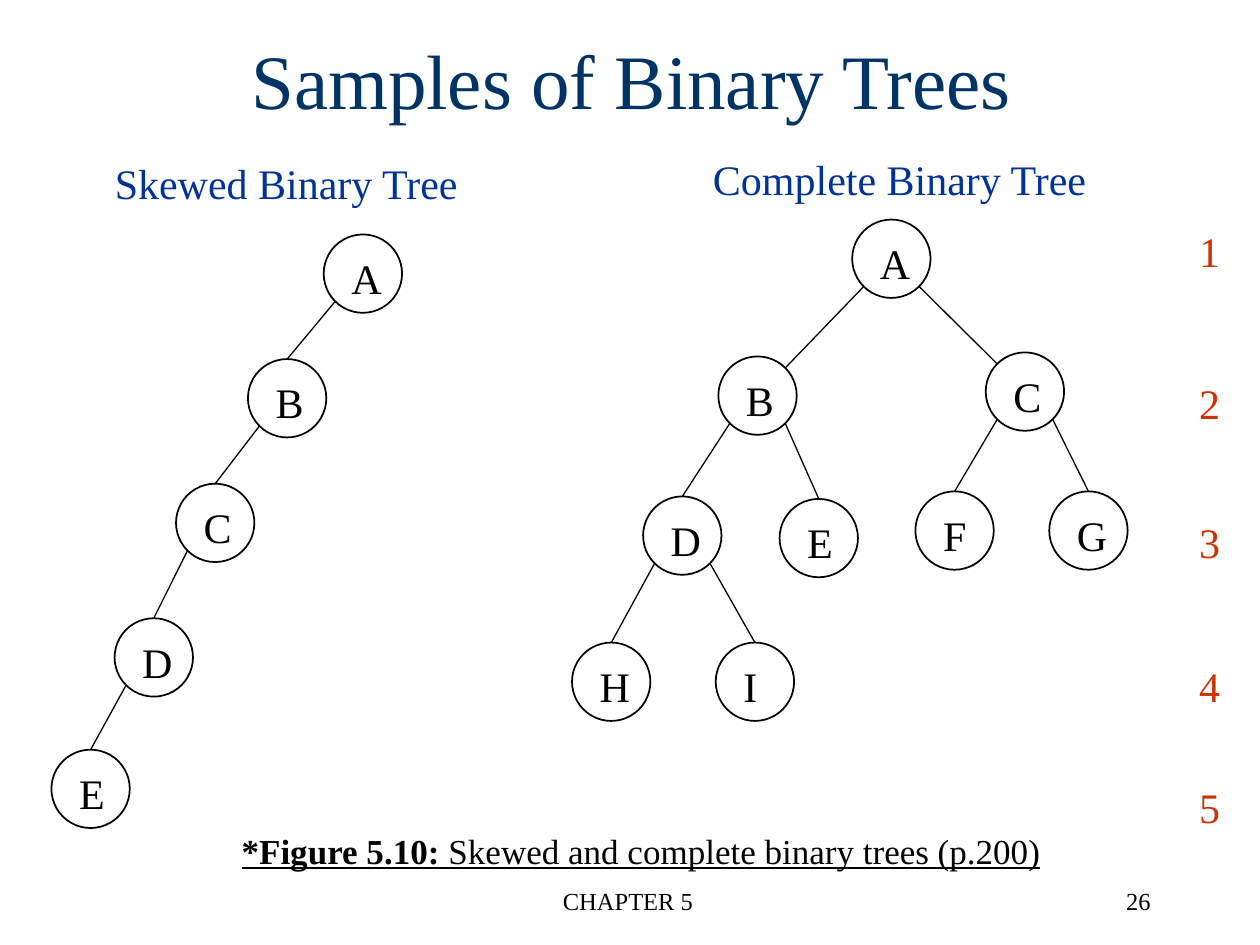
from math import sqrt

from lxml.etree import SubElement
from pptx import Presentation
from pptx.dml.color import RGBColor
from pptx.enum.shapes import MSO_CONNECTOR, MSO_SHAPE
from pptx.enum.text import MSO_ANCHOR, PP_ALIGN
from pptx.oxml.ns import qn
from pptx.util import Pt

FONT = "Times New Roman"
BLACK = RGBColor(0x00, 0x00, 0x00)
NAVY = RGBColor(0x00, 0x33, 0x66)
BLUE = RGBColor(0x00, 0x33, 0x99)
RED = RGBColor(0xCC, 0x33, 0x00)

NODE_SIZE = 44.8
RADIUS = NODE_SIZE / 2
DIAGONAL = RADIUS / sqrt(2)

# Node letter: left and top of its circle
SKEWED_NODES = {
    "A": (185, 134), "B": (141.7, 205.2), "C": (100.6, 276.4),
    "D": (65.5, 353.3), "E": (29.4, 428.4),
}
COMPLETE_NODES = {
    "A": (487, 125.5), "B": (410.5, 203.7), "C": (563.3, 201.4),
    "D": (367.5, 283.7), "E": (445.5, 285.1), "F": (523.1, 280.8),
    "G": (599.6, 280.8), "H": (326.9, 367.2), "I": (409, 367.2),
}
SKEWED_EDGES = ["AB", "BC", "CD", "DE"]
COMPLETE_EDGES = ["AB", "AC", "BD", "BE", "CF", "CG", "DH", "DI"]
# Edges that meet the child on its upper diagonal instead of its top
COMPLETE_WIDE_EDGES = ["AB", "AC"]
LEVEL_TOPS = [125.3, 212.4, 291.6, 373.7, 442.8]


def add_text(shapes, text, left, top, width, height, *, size=24, color=BLACK,
             align=PP_ALIGN.LEFT, anchor=MSO_ANCHOR.TOP, bold_lead="",
             underline=False):
    """Add a text box; bold_lead is a bold run placed before the text."""
    box = shapes.add_textbox(Pt(left), Pt(top), Pt(width), Pt(height))
    frame = box.text_frame
    frame.word_wrap = True
    frame.vertical_anchor = anchor
    paragraph = frame.paragraphs[0]
    paragraph.alignment = align
    for content, bold in ((bold_lead, True), (text, False)):
        if content:
            run = paragraph.add_run()
            run.text = content
            run.font.name = FONT
            run.font.size = Pt(size)
            run.font.bold = bold
            run.font.underline = underline
            run.font.color.rgb = color


def add_node(slide, letter, left, top):
    shapes = slide.shapes.add_group_shape().shapes
    circle = shapes.add_shape(MSO_SHAPE.OVAL, Pt(left), Pt(top),
                              Pt(NODE_SIZE), Pt(NODE_SIZE))
    circle.shadow.inherit = False
    circle.fill.background()
    circle.line.color.rgb = BLACK
    circle.line.width = Pt(1)
    add_text(shapes, letter, left + 8.7, top + 6.7, 33, 36)


def add_edge(slide, parent, child, wide):
    side = 1 if child[0] > parent[0] else -1
    start_x = parent[0] + RADIUS + side * DIAGONAL
    start_y = parent[1] + RADIUS + DIAGONAL
    end_x = child[0] + RADIUS
    end_y = child[1]
    if wide:
        end_x -= side * DIAGONAL
        end_y += RADIUS - DIAGONAL
    connector = slide.shapes.add_connector(
        MSO_CONNECTOR.STRAIGHT, Pt(start_x), Pt(start_y), Pt(end_x), Pt(end_y))
    connector.line.color.rgb = BLACK
    connector.line.width = Pt(0.75)
    SubElement(connector._element.spPr, qn("a:effectLst"))


def add_tree(slide, nodes, edges, wide_edges=()):
    for letter, (left, top) in nodes.items():
        add_node(slide, letter, left, top)
    for edge in edges:
        parent, child = edge
        add_edge(slide, nodes[parent], nodes[child], edge in wide_edges)


def main():
    presentation = Presentation()
    presentation.slide_width = Pt(720)
    presentation.slide_height = Pt(540)
    slide = presentation.slides.add_slide(presentation.slide_layouts[6])
    shapes = slide.shapes

    add_text(shapes, "CHAPTER 5", 244.8, 502.5, 228.2, 36, size=14,
             align=PP_ALIGN.CENTER)
    add_text(shapes, "26", 514.8, 502.5, 149.8, 36, size=14,
             align=PP_ALIGN.RIGHT)
    add_text(shapes, "Samples of Binary Trees", 0, 0, 721.5, 90, size=44,
             color=NAVY, align=PP_ALIGN.CENTER, anchor=MSO_ANCHOR.MIDDLE)

    add_text(shapes, "Skewed Binary Tree", 58.5, 86.5, 212, 36, color=BLUE)
    add_tree(slide, SKEWED_NODES, SKEWED_EDGES)
    add_text(shapes, "Complete Binary Tree", 400.3, 84.2, 229, 36, color=BLUE)
    add_tree(slide, COMPLETE_NODES, COMPLETE_EDGES, COMPLETE_WIDE_EDGES)

    for level, top in enumerate(LEVEL_TOPS, start=1):
        add_text(shapes, str(level), 678.2, top, 27, 36, color=RED)

    add_text(shapes, " Skewed and complete binary trees (p.200)",
             131, 470.2, 474.5, 31.5, size=20, bold_lead="*Figure 5.10:",
             underline=True)
    presentation.save("out.pptx")


if __name__ == "__main__":
    main()
